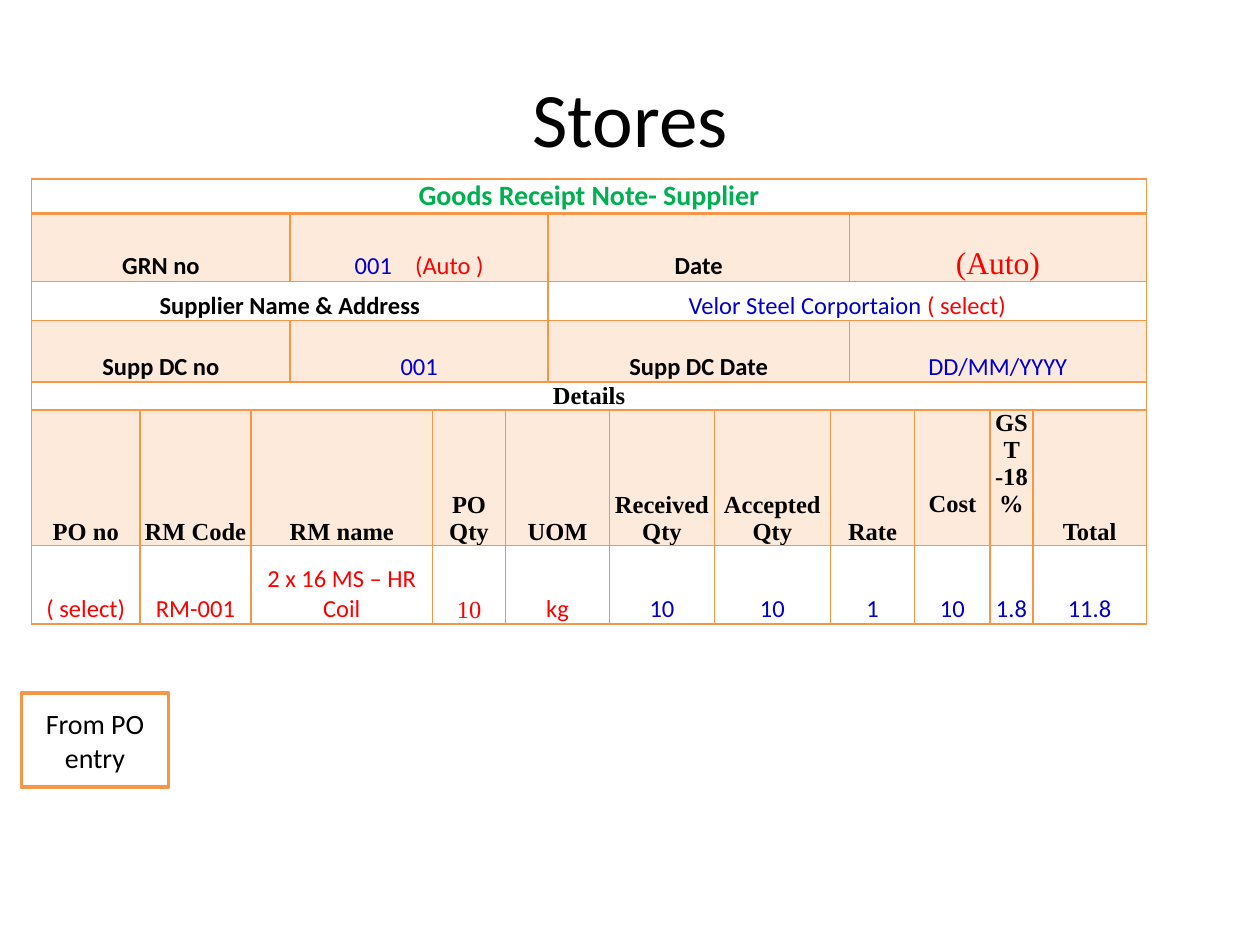
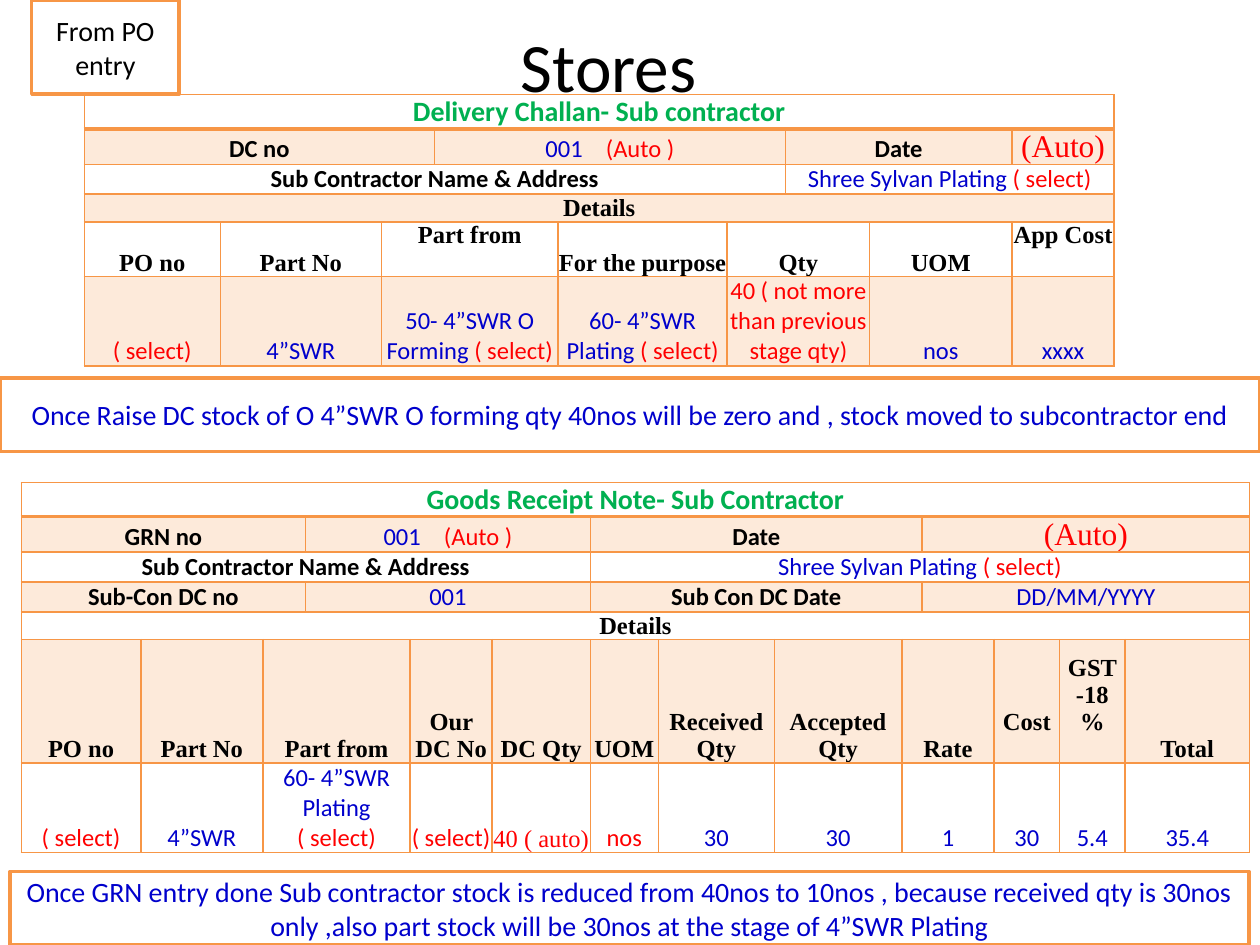
from lxml.etree import SubElement
from pptx import Presentation
from pptx.dml.color import RGBColor
from pptx.enum.shapes import MSO_SHAPE
from pptx.enum.text import MSO_ANCHOR, MSO_AUTO_SIZE, PP_ALIGN
from pptx.oxml import parse_xml
from pptx.oxml.ns import nsdecls, qn
from pptx.util import Cm, Pt

SANS, SERIF = "Calibri", "Times New Roman"
EDGE, BLACK, BLUE, RED, GREEN = "F79646", "000000", "0000CC", "FF0000", "00B050"
TINT = 20  # percent of the edge colour in shaded cells
LIFT = 0.55  # cm, one text line

# style: size, font, colour, bold
STYLES = {
    "top": (16, SANS, GREEN, True),
    "label": (14, SANS, BLACK, True),
    "head": (14, SERIF, BLACK, True),
    "blue": (14, SANS, BLUE, False),
    "red": (14, SANS, RED, False),
    "serif": (14, SERIF, RED, False),
    "auto": (18, SERIF, RED, False),
    "gap": (14, SANS, BLUE, False),
    "box": (16, SANS, BLACK, False),
    "note": (16, SANS, BLUE, False),
}

# A cell is (span, run, run...); a run is (style, text).
AUTO_NO = [("blue", "001"), ("gap", " "), ("red", "(Auto )")]
AUTO = ("auto", "(Auto)")
PICK = ("red", "( select)")
RAISED = {"Cost", "GST -18\n%", "Part from", "App Cost"}


def same(style, spans, texts):
    """Make cells of one style from spans and texts."""
    return [(n, (style, text)) for n, text in zip(spans, texts)]


def receipt(name, firm, supply, heads, spans, values):
    """List the rows of a goods receipt note."""
    return [
        [(14, ("top", name))],
        [(3, ("label", "GRN no")), (3, *AUTO_NO), (4, ("label", "Date")), (4, AUTO)],
        [(6, ("label", firm[0] + " Name & Address")), (8, ("blue", firm[1]), PICK)],
        [(3, ("label", supply[0])), (3, ("blue", "001")),
         (4, ("label", supply[1])), (4, ("blue", "DD/MM/YYYY"))],
        [(14, ("head", "Details"))],
        same("head", spans, heads),
        values,
    ]


TAIL = ["Received Qty", "Accepted Qty", "Rate", "Cost", "GST -18\n%", "Total"]
TAIL_SPANS = [1, 1, 2, 1, 1, 1]
PLATER = ("Sub Contractor", "Shree Sylvan Plating ")

SUPPLIER = {
    "at": (0.64, 3.61),
    "cols": [2.18, 2.24, 0.79, 2.87, 1.47, 0.86, 1.24, 2.11, 2.34, 0.38, 1.32,
             1.52, 0.86, 2.29],
    "rows": [0.68, 1.37, 0.79, 1.24, 0.56, 2.72, 1.58],
    "shade": {1, 3, 5},
    "cells": receipt(
        "Goods Receipt Note- Supplier",
        ("Supplier", "Velor Steel Corportaion "),
        ("Supp DC no", "Supp DC Date"),
        ["PO no", "RM Code", "RM name", "PO Qty", "UOM"] + TAIL,
        [1, 1, 2, 1, 2] + TAIL_SPANS,
        same("red", [1, 1, 2], ["( select)", "RM-001", "2 x 16 MS – HR Coil"])
        + [(1, ("serif", "10")), (2, ("red", "kg"))]
        + same("blue", TAIL_SPANS, ["10", "10", "1", "10", "1.8", "11.8"])),
}

RETURN = {
    "at": (0.43, 9.73),
    "cols": [2.41, 2.46, 0.86, 2.11, 1.65, 1.98, 1.37, 2.34, 2.57, 0.41, 1.45,
             1.32, 1.32, 2.51],
    "rows": [0.68, 0.71, 0.6, 0.6, 0.56, 2.49, 1.8],
    "shade": {1, 3, 5},
    "cells": receipt(
        "Goods Receipt Note- Sub Contractor",
        PLATER,
        ("Sub-Con DC no", "Sub Con DC Date"),
        ["PO no", "Part No", "Part from", "Our DC No", "DC Qty", "UOM"] + TAIL,
        [1, 1, 2, 1, 1, 1] + TAIL_SPANS,
        [(1, PICK), (1, ("blue", "4”SWR")),
         (2, ("blue", "60- 4”SWR Plating "), PICK), (1, PICK),
         (1, ("serif", "40 ( auto)")), (1, ("red", "nos"))]
        + same("blue", TAIL_SPANS, ["30", "30", "1", "30", "5.4", "35.4"])),
}
RETURN["raised"] = {"Cost", "GST -18\n%"}

CHALLAN = {
    "at": (1.7, 1.91),
    "cols": [2.74, 3.25, 1.07, 2.49, 3.41, 1.17, 1.7, 2.87, 2.06],
    "rows": [0.66, 0.71, 0.6, 0.56, 1.08, 1.8],
    "shade": {1, 3, 5},
    "cells": [
        [(9, ("top", "Delivery Challan- Sub contractor"))],
        [(3, ("label", "DC no")), (3, *AUTO_NO), (2, ("label", "Date")), (1, AUTO)],
        [(6, ("label", PLATER[0] + " Name & Address")), (3, ("blue", PLATER[1]), PICK)],
        [(9, ("head", "Details"))],
        same("head", [1, 1, 2, 1, 2, 1, 1],
             ["PO no", "Part No", "Part from", "For the purpose", "Qty", "UOM",
              "App Cost"]),
        [(1, PICK), (1, ("blue", "4”SWR")),
         (2, ("blue", "50- 4”SWR O Forming "), PICK),
         (1, ("blue", "60- 4”SWR Plating "), PICK),
         (2, ("red", "40 ( not more than previous stage qty)")),
         (1, ("blue", "nos")), (1, ("blue", "xxxx"))],
    ],
}

ENTRY = "From PO entry"
SENT = ("Once Raise DC stock of O 4”SWR O forming qty 40nos will be zero and , "
        "stock moved to subcontractor end")
DONE = ("Once GRN entry done Sub contractor stock is reduced from 40nos to 10nos , "
        "because received qty is 30nos only ,also part stock will be 30nos at the "
        "stage of 4”SWR Plating")

# title: place and size; parts: tables and boxes from back to front
SLIDES = [
    {"title": ((1.27, 0.76, 22.86, 3.18), 44),
     "parts": [SUPPLIER, ((0.43, 13.97, 2.97, 1.9), "box", ENTRY)]},
    {"title": ((0.84, 0.64, 22.86, 1.35), 39.6),
     "parts": [RETURN, ((0.64, 0, 2.97, 1.9), "box", ENTRY), CHALLAN,
               ((0, 7.62, 25.4, 1.48), "note", SENT),
               ((0.2, 17.57, 24.98, 1.48), "note", DONE)]},
]


def tone(code):
    """Turn a hex string into a colour."""
    return RGBColor.from_string(code)


def write(frame, runs):
    """Write centred runs; a line feed starts a paragraph."""
    para = frame.paragraphs[0]
    para.alignment = PP_ALIGN.CENTER
    for style, text in runs:
        size, face, code, bold = STYLES[style]
        for i, line in enumerate(text.split("\n")):
            if i:
                para = frame.add_paragraph()
                para.alignment = PP_ALIGN.CENTER
            run = para.add_run()
            run.text = line
            font = run.font
            font.size, font.name, font.bold = Pt(size), face, bold
            font.color.rgb = tone(code)
            if style == "gap":
                run._r.get_or_add_rPr().set("spc", "1000")


def rule(cell, last):
    """Draw the four borders of a cell, the bottom one of given width."""
    props = cell._tc.get_or_add_tcPr()
    for i, (side, width) in enumerate(zip("LRTB", (1, 1, 1, last))):
        props.insert(i, parse_xml(
            f'<a:ln{side} {nsdecls("a")} w="{Pt(width)}"><a:solidFill>'
            f'<a:srgbClr val="{EDGE}"/></a:solidFill></a:ln{side}>'))


def paint(cell, shade):
    """Fill a cell with the clear tint or with nothing."""
    if not shade:
        cell.fill.background()
        return
    cell.fill.solid()
    cell.fill.fore_color.rgb = tone(EDGE)
    code = cell._tc.tcPr.find(qn("a:solidFill"))[0]
    SubElement(code, qn("a:alpha")).set("val", str(TINT * 1000))


def grid(slide, data):
    """Add a form table with merged cells."""
    cols, rows = data["cols"], data["rows"]
    raised = data.get("raised", RAISED)
    left, top = data["at"]
    table = slide.shapes.add_table(len(rows), len(cols), Cm(left), Cm(top),
                                   Cm(sum(cols)), Cm(sum(rows))).table
    table.first_row = table.horz_banding = False
    for col, width in zip(table.columns, cols):
        col.width = Cm(width)
    for r, (height, cells) in enumerate(zip(rows, data["cells"])):
        table.rows[r].height = Cm(height)
        for c in range(len(cols)):
            cell = table.cell(r, c)
            cell.margin_left = cell.margin_right = 0
            cell.margin_top = cell.margin_bottom = 0
            cell.vertical_anchor = MSO_ANCHOR.BOTTOM
            rule(cell, 1 if r else 2)
            paint(cell, r in data["shade"])
        c = 0
        for span, *runs in cells:
            cell = table.cell(r, c)
            if span > 1:
                cell.merge(table.cell(r, c + span - 1))
            if runs[0][1] in raised:
                cell.margin_bottom = Cm(LIFT)
            write(cell.text_frame, runs)
            c += span


def box(slide, at, style, text):
    """Add a white box with an orange edge."""
    shape = slide.shapes.add_shape(MSO_SHAPE.RECTANGLE, *map(Cm, at))
    shape.shadow.inherit = False
    shape.fill.solid()
    shape.fill.fore_color.rgb = tone("FFFFFF")
    shape.line.color.rgb = tone(EDGE)
    shape.line.width = Pt(2)
    frame = shape.text_frame
    frame.word_wrap = True
    frame.vertical_anchor = MSO_ANCHOR.MIDDLE
    write(frame, [(style, text)])


def head(slide, at, size):
    """Place and write the slide title."""
    title = slide.shapes.title
    title.left, title.top, title.width, title.height = map(Cm, at)
    frame = title.text_frame
    frame.auto_size = MSO_AUTO_SIZE.NONE
    frame.vertical_anchor = MSO_ANCHOR.MIDDLE
    para = frame.paragraphs[0]
    para.alignment = PP_ALIGN.CENTER
    run = para.add_run()
    run.text = "Stores"
    run.font.size, run.font.name = Pt(size), SANS
    run.font.color.rgb = tone(BLACK)


deck = Presentation()
deck.slide_width, deck.slide_height = Cm(25.4), Cm(19.05)
for page in SLIDES:
    slide = deck.slides.add_slide(deck.slide_layouts[5])
    head(slide, *page["title"])
    for part in page["parts"]:
        if isinstance(part, dict):
            grid(slide, part)
        else:
            box(slide, *part)
deck.save("out.pptx")
